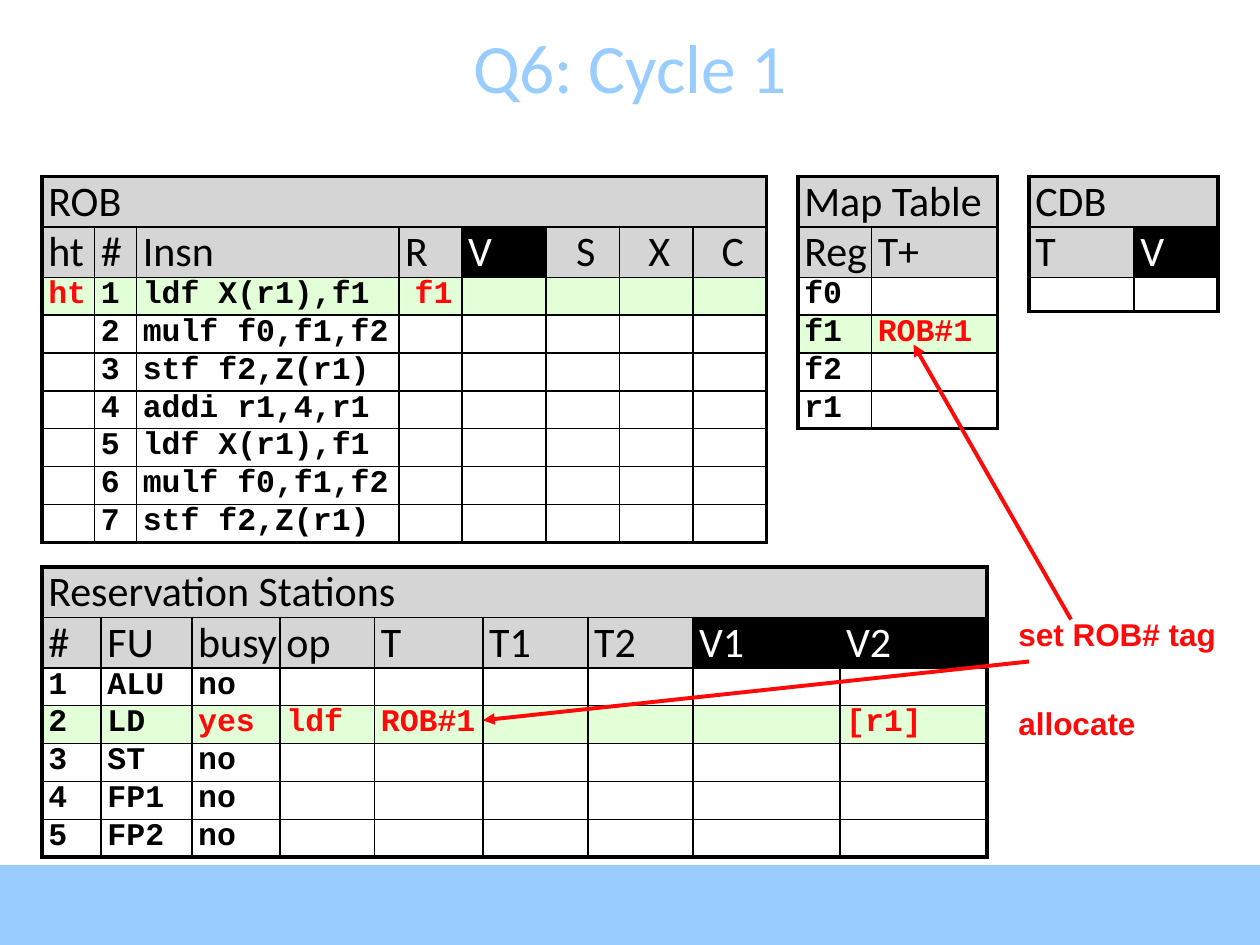
import pptx
import pptx.dml.color
import pptx.enum.shapes
import pptx.enum.text
import pptx.oxml
import pptx.oxml.ns
import pptx.util
import lxml.etree

RGB = pptx.dml.color.RGBColor
SKY = RGB(0x99, 0xCC, 0xFF)
BLACK = RGB(0, 0, 0)
WHITE = RGB(0xFF, 0xFF, 0xFF)
GREY = RGB(0xD5, 0xD5, 0xD5)
GREEN = RGB(0xE2, 0xFF, 0xD8)
RED = RGB(0xFF, 0x09, 0x09)

CENTER = pptx.enum.text.PP_ALIGN.CENTER
ROW = 3.25
THIN, THICK = 1, 2.25

ROB_ROWS = [
    ["ht", "#", "Insn", "R", "V", "S", "X", "C"],
    ["ht", "1", "ldf X(r1),f1", "f1"],
    ["", "2", "mulf f0,f1,f2"],
    ["", "3", "stf f2,Z(r1)"],
    ["", "4", "addi r1,4,r1"],
    ["", "5", "ldf X(r1),f1"],
    ["", "6", "mulf f0,f1,f2"],
    ["", "7", "stf f2,Z(r1)"],
]
MAP_ROWS = [["Reg", "T+"], ["f0"], ["f1", "ROB#1"], ["f2"], ["r1"]]
CDB_ROWS = [["T", "V"], []]
STATION_ROWS = [
    ["#", "FU", "busy", "op", "T", "T1", "T2", "V1", "V2"],
    ["1", "ALU", "no"],
    ["2", "LD", "yes", "ldf", "ROB#1", "", "", "", "[r1]"],
    ["3", "ST", "no"],
    ["4", "FP1", "no"],
    ["5", "FP2", "no"],
]


def grid(units):
    """Length of grid units; the slide is 120 columns by 90 rows of 1/12 inch."""
    return pptx.util.Inches(units / 12)


def add_run(paragraph, text, size, font, color, bold=False):
    run = paragraph.add_run()
    run.text = text
    run.font.size = pptx.util.Pt(size)
    run.font.name = font
    run.font.bold = bold
    run.font.color.rgb = color


def set_borders(cell, widths):
    """Draw black borders; widths are in points for left, right, top, bottom."""
    properties = cell._tc.get_or_add_tcPr()
    namespace = pptx.oxml.ns.nsdecls("a")
    for place, (side, width) in enumerate(zip("LRTB", widths)):
        properties.insert(place, pptx.oxml.parse_xml(
            f'<a:ln{side} {namespace} w="{int(width * 12700)}">'
            f'<a:solidFill><a:srgbClr val="{BLACK}"/></a:solidFill></a:ln{side}>'))


def fill_cell(cell, text, fill, color, heading, centered):
    cell.margin_left = pptx.util.Inches(0.05)
    cell.margin_right = cell.margin_top = cell.margin_bottom = 0
    if fill is None:
        cell.fill.background()
    else:
        cell.fill.solid()
        cell.fill.fore_color.rgb = fill
    paragraph = cell.text_frame.paragraphs[0]
    if centered:
        paragraph.alignment = CENTER
    if not text:
        end = lxml.etree.SubElement(paragraph._p, pptx.oxml.ns.qn("a:endParaRPr"))
        end.set("sz", "1200")
    elif heading:
        add_run(paragraph, text, 24, "Calibri", color)
    else:
        add_run(paragraph, text, 18, "Courier New", color, bold=True)


def add_state_table(slide, left, top, title, columns, rows,
                    black=(), active=None, red=(), centered=()):
    """Table with a title row and a heading row above the entries.

    black holds headings on black, active is the highlighted row of rows,
    red the columns of its changed values, centered the centred texts.
    """
    last_row, last_col = len(rows), len(columns) - 1
    frame = slide.shapes.add_table(last_row + 1, len(columns), grid(left), grid(top),
                                   grid(sum(columns)), grid(ROW * (last_row + 1)))
    table = frame.table
    table.first_row = table.horz_banding = False
    for column, width in zip(table.columns, columns):
        column.width = grid(width)

    banner = table.cell(0, 0)
    banner.merge(table.cell(0, last_col))
    fill_cell(banner, title, GREY, BLACK, True, False)
    set_borders(banner, (THICK, THICK, THICK, THIN))

    for r, texts in enumerate(rows):
        for c in range(len(columns)):
            text = texts[c] if c < len(texts) else ""
            heading = r == 0
            fill, color = None, BLACK
            if heading:
                fill, color = (BLACK, WHITE) if text in black else (GREY, BLACK)
            elif r == active:
                fill, color = GREEN, RED if c in red else BLACK
            cell = table.cell(r + 1, c)
            fill_cell(cell, text, fill, color, heading, text in centered)
            set_borders(cell, (THICK if c == 0 else THIN,
                               THICK if c == last_col else THIN,
                               THIN,
                               THICK if r + 1 == last_row else THIN))


def add_title(slide, left, top, width, height):
    box = slide.shapes.add_textbox(grid(left), grid(top), grid(width), grid(height))
    box.text_frame.word_wrap = True
    box.text_frame.vertical_anchor = pptx.enum.text.MSO_ANCHOR.MIDDLE
    paragraph = box.text_frame.paragraphs[0]
    paragraph.alignment = CENTER
    add_run(paragraph, "Q6: Cycle 1", 39.6, "Calibri", SKY)


def add_footer_band(slide, left, top, width, height):
    band = slide.shapes.add_shape(pptx.enum.shapes.MSO_SHAPE.RECTANGLE,
                                  grid(left), grid(top), grid(width), grid(height))
    band.shadow.inherit = False
    band.fill.solid()
    band.fill.fore_color.rgb = SKY
    band.line.fill.background()


def add_note(slide, left, top, width, text):
    box = slide.shapes.add_textbox(grid(left), grid(top), grid(width), grid(4.8))
    box.text_frame.word_wrap = False
    add_run(box.text_frame.paragraphs[0], text, 18, "Arial", RED, bold=True)


def add_arrow(slide, start, end):
    arrow = slide.shapes.add_connector(pptx.enum.shapes.MSO_CONNECTOR.STRAIGHT,
                                       *map(grid, start + end))
    arrow.line.color.rgb = RED
    arrow.line.width = pptx.util.Pt(THICK)
    head = lxml.etree.SubElement(arrow.line._get_or_add_ln(),
                                 pptx.oxml.ns.qn("a:tailEnd"))
    head.set("type", "triangle")
    lxml.etree.SubElement(arrow._element.spPr, pptx.oxml.ns.qn("a:effectLst"))


def main():
    deck = pptx.Presentation()
    deck.slide_width, deck.slide_height = grid(120), grid(90)
    slide = deck.slides.add_slide(deck.slide_layouts[6])

    add_footer_band(slide, 0, 82.4, 120, 7.6)
    add_title(slide, 0, 2.5, 120, 7.5)
    add_state_table(slide, 4, 16.8, "ROB", [5, 4, 25, 6, 8, 7, 7, 7], ROB_ROWS,
                    black=("V",), active=1, red=(0, 3), centered=("S", "X", "C", "f1"))
    add_state_table(slide, 76, 16.8, "Map Table", [7, 12], MAP_ROWS, active=2, red=(1,))
    add_state_table(slide, 4, 54, "Reservation Stations",
                    [5.64, 8.64, 8.4, 9, 10.32, 10, 10, 14, 14], STATION_ROWS,
                    black=("V1", "V2"), active=2, red=(2, 3, 4, 8))
    add_state_table(slide, 98, 16.8, "CDB", [10, 8], CDB_ROWS, black=("V",))
    add_note(slide, 95.8, 66.5, 13.6, "allocate")
    add_note(slide, 95.8, 58, 21.2, "set ROB# tag")
    add_arrow(slide, (102, 59), (87, 32.8))
    add_arrow(slide, (98, 63), (46, 68.6))
    deck.save("out.pptx")


if __name__ == "__main__":
    main()
